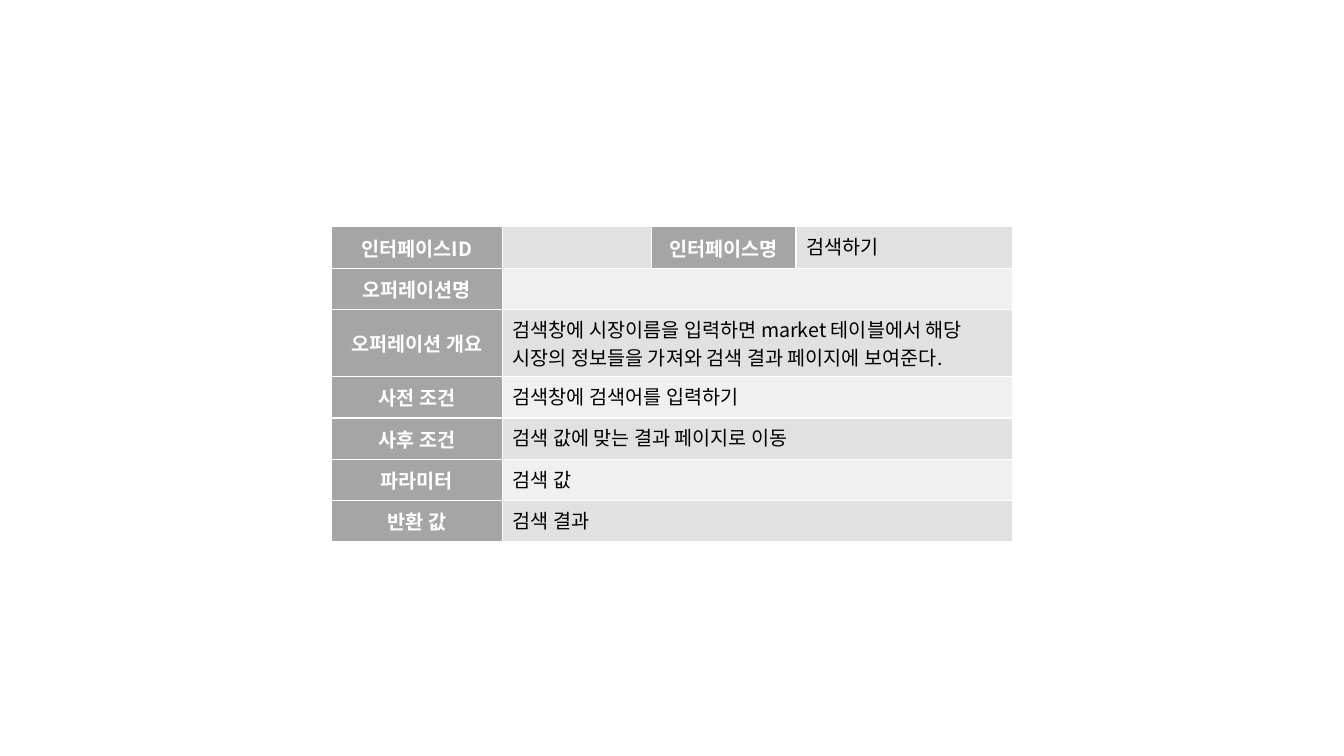
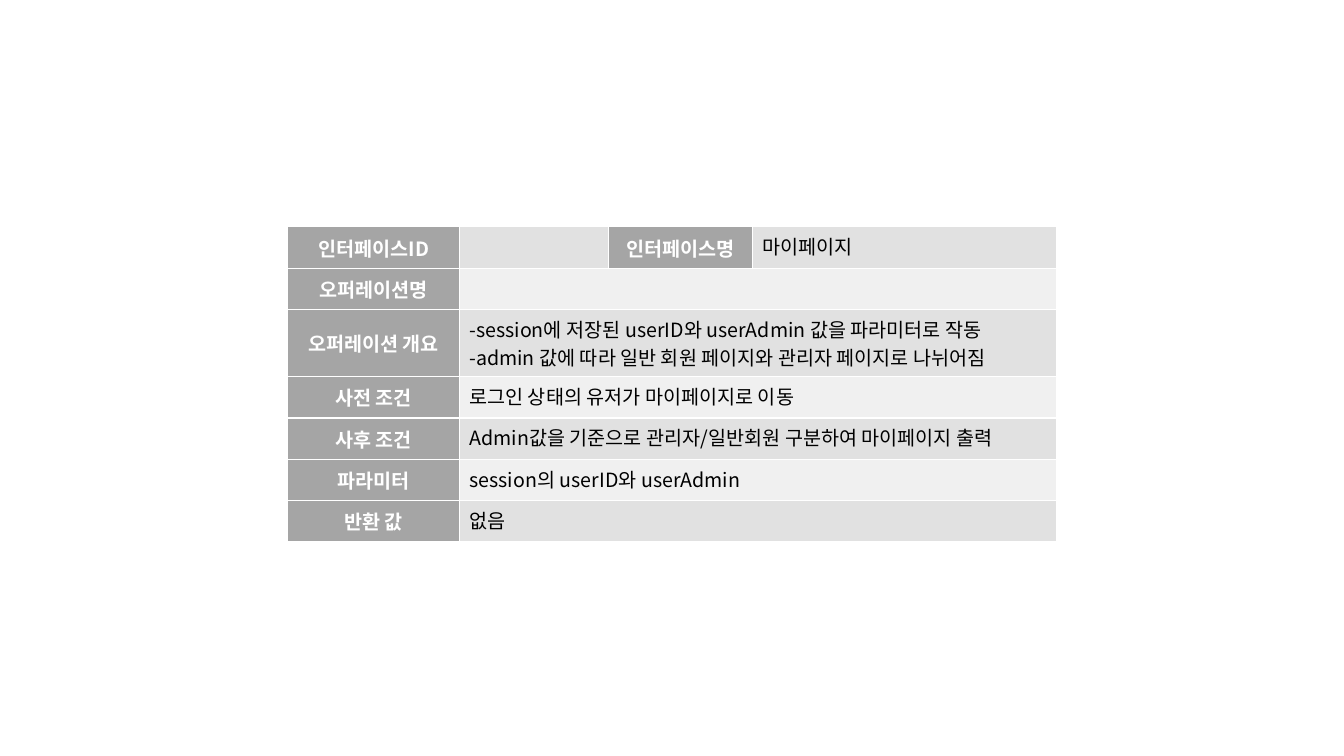
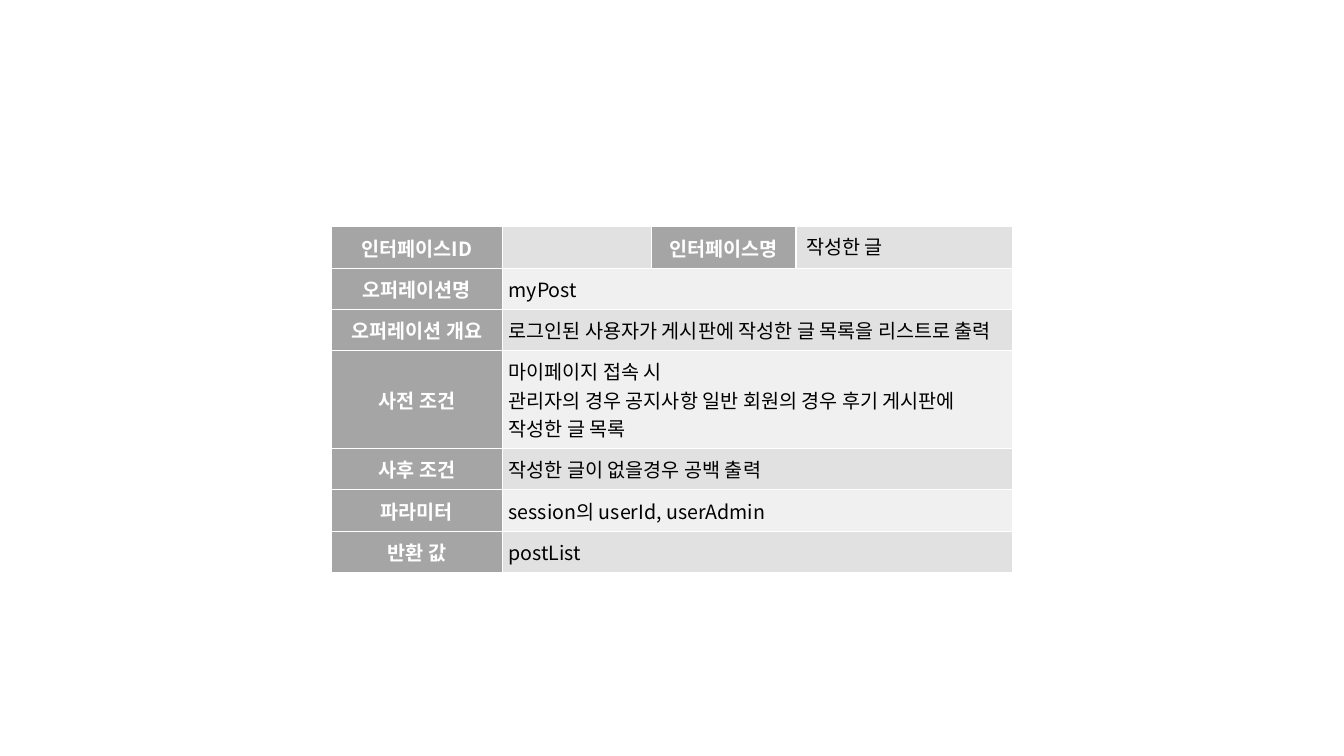
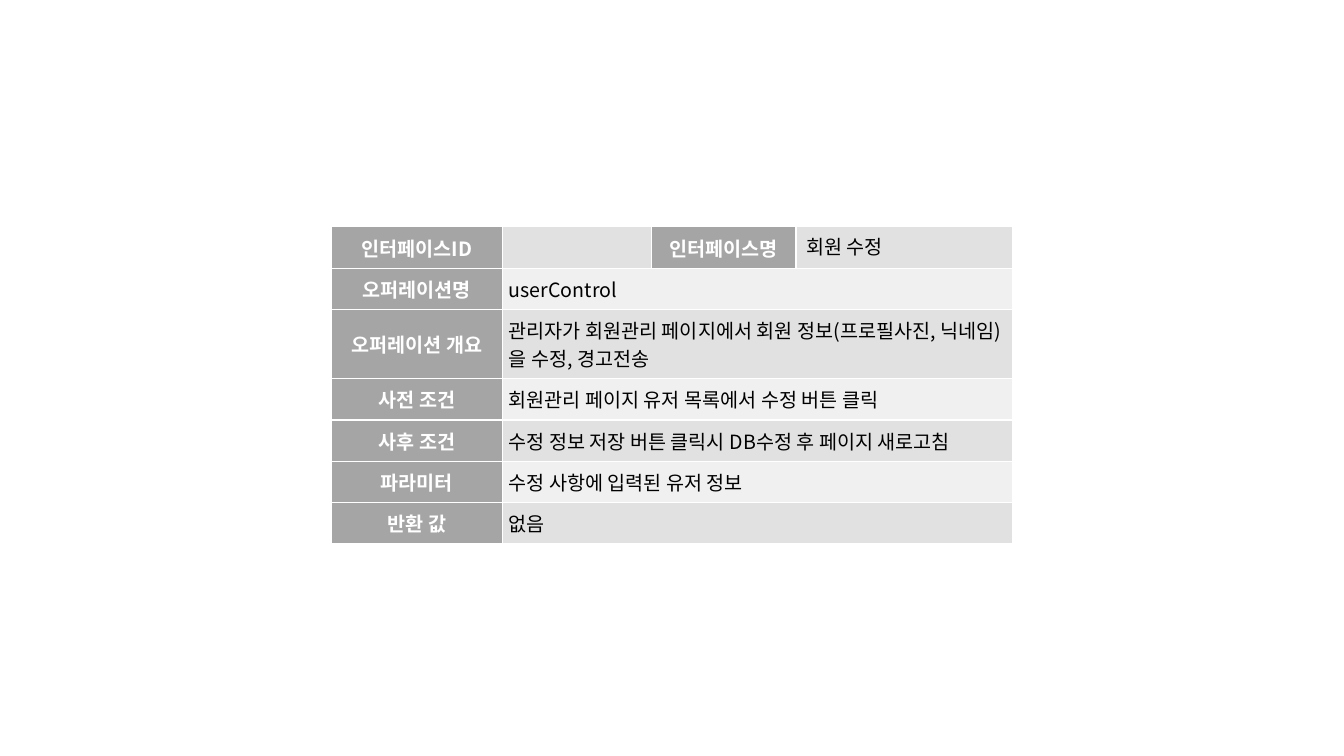
from lxml import etree
from pptx import Presentation
from pptx.dml.color import RGBColor
from pptx.enum import text as t
from pptx.oxml.ns import qn
from pptx.util import Inches, Pt

FONT = "Noto Sans CJK KR"
FONT_SIZE = 14
WHITE, BLACK = "FFFFFF", "000000"
LABEL_FILL = "A5A5A5"
BAND_FILLS = ("E1E1E1", "F0F0F0")

SLIDE_WIDTH, SLIDE_HEIGHT = 13.33, 7.5
TABLE_TOP = 2.25
ROW_HEIGHT = 0.41
LEADING_WIDTHS = (1.7, 1.48, 1.43)
ROOMY_MARGINS = (0.1, 0.05)
TIGHT_MARGINS = (0.06, 0.06)

ID_LABEL, NAME_LABEL = "인터페이스ID", "인터페이스명"
ROW_LABELS = ("오퍼레이션명", "오퍼레이션 개요", "사전 조건", "사후 조건", "파라미터", "반환 값")

INTERFACES = [
    dict(
        name="검색하기",
        details=(
            "",
            "검색창에 시장이름을 입력하면 market 테이블에서 해당 시장의 정보들을 가져와 검색 결과 페이지에 보여준다.",
            "검색창에 검색어를 입력하기",
            "검색 값에 맞는 결과 페이지로 이동",
            "검색 값",
            "검색 결과",
        ),
    ),
    dict(
        name="마이페이지",
        name_width=3.01,
        details=(
            "",
            "-session에 저장된 userID와 userAdmin 값을 파라미터로 작동\n"
            "-admin 값에 따라 일반 회원 페이지와 관리자 페이지로 나뉘어짐",
            "로그인 상태의 유저가 마이페이지로 이동",
            "Admin값을 기준으로 관리자/일반회원 구분하여 마이페이지 출력",
            "session의 userID와 userAdmin",
            "없음",
        ),
    ),
    dict(
        name="작성한 글",
        tight=True,
        details=(
            "myPost",
            "로그인된 사용자가 게시판에 작성한 글 목록을 리스트로 출력",
            "마이페이지 접속 시\n관리자의 경우 공지사항 일반 회원의 경우 후기 게시판에 작성한 글 목록",
            "작성한 글이 없을경우 공백 출력",
            "session의 userId, userAdmin",
            "postList",
        ),
    ),
    dict(
        name="회원 수정",
        tight=True,
        details=(
            "userControl",
            "관리자가 회원관리 페이지에서 회원 정보(프로필사진, 닉네임)을 수정, 경고전송",
            "회원관리 페이지 유저 목록에서 수정 버튼 클릭",
            "수정 정보 저장 버튼 클릭시 DB수정 후 페이지 새로고침",
            "수정 사항에 입력된 유저 정보",
            "없음",
        ),
    ),
]


def color(hex_code):
    return RGBColor.from_string(hex_code)


def add_child(parent, tag, **attributes):
    return etree.SubElement(parent, qn(tag), attributes)


def write_text(frame, text, ink=BLACK, bold=False, align=None):
    """Write one paragraph for each line; an empty line keeps the font size."""
    frame.text = text
    for paragraph in frame.paragraphs:
        if align is not None:
            paragraph.alignment = align
        for run in paragraph.runs:
            font = run.font
            font.name, font.size, font.bold = FONT, Pt(FONT_SIZE), bold
            font.color.rgb = color(ink)
            add_child(font._element, "a:ea", typeface=FONT)
        if not paragraph.runs:
            add_child(paragraph._p, "a:endParaRPr", sz=str(FONT_SIZE * 100))


def paint_cell(cell, fill):
    """Give the cell white 1 pt borders, which must precede its fill."""
    properties = cell._tc.get_or_add_tcPr()
    for side in ("a:lnL", "a:lnR", "a:lnT", "a:lnB"):
        line = add_child(properties, side, w=str(Pt(1)))
        add_child(add_child(line, "a:solidFill"), "a:srgbClr", val=WHITE)
    cell.fill.solid()
    cell.fill.fore_color.rgb = color(fill)


def write_label(cell, text):
    paint_cell(cell, LABEL_FILL)
    cell.vertical_anchor = t.MSO_ANCHOR.MIDDLE
    write_text(cell.text_frame, text, ink=WHITE, bold=True, align=t.PP_ALIGN.CENTER)


def write_value(cell, text, fill, tight=False):
    paint_cell(cell, fill)
    across, down = TIGHT_MARGINS if tight else ROOMY_MARGINS
    cell.margin_left = cell.margin_right = Inches(across)
    cell.margin_top = cell.margin_bottom = Inches(down)
    cell.vertical_anchor = t.MSO_ANCHOR.MIDDLE if tight else t.MSO_ANCHOR.TOP
    write_text(cell.text_frame, text)


def add_interface_table(slide, name, details, name_width=2.15, tight=False):
    widths = (*LEADING_WIDTHS, name_width)
    row_count = len(ROW_LABELS) + 1
    table = slide.shapes.add_table(
        row_count, len(widths),
        Inches((SLIDE_WIDTH - sum(widths)) / 2), Inches(TABLE_TOP),
        Inches(sum(widths)), Inches(ROW_HEIGHT * row_count),
    ).table
    table.first_row = table.horz_banding = False
    for column, width in zip(table.columns, widths):
        column.width = Inches(width)
    for row in table.rows:
        row.height = Inches(ROW_HEIGHT)

    write_label(table.cell(0, 0), ID_LABEL)
    write_value(table.cell(0, 1), "", BAND_FILLS[0])
    write_label(table.cell(0, 2), NAME_LABEL)
    write_value(table.cell(0, 3), name, BAND_FILLS[0])

    for row, (label, detail) in enumerate(zip(ROW_LABELS, details), start=1):
        fill = BAND_FILLS[row % 2]
        write_label(table.cell(row, 0), label)
        table.cell(row, 1).merge(table.cell(row, 3))
        write_value(table.cell(row, 1), detail, fill, tight)
        for spanned in (2, 3):
            paint_cell(table.cell(row, spanned), fill)


def main():
    deck = Presentation()
    deck.slide_width, deck.slide_height = Inches(SLIDE_WIDTH), Inches(SLIDE_HEIGHT)
    blank = deck.slide_layouts[6]
    for interface in INTERFACES:
        add_interface_table(deck.slides.add_slide(blank), **interface)
    deck.save("out.pptx")


if __name__ == "__main__":
    main()
